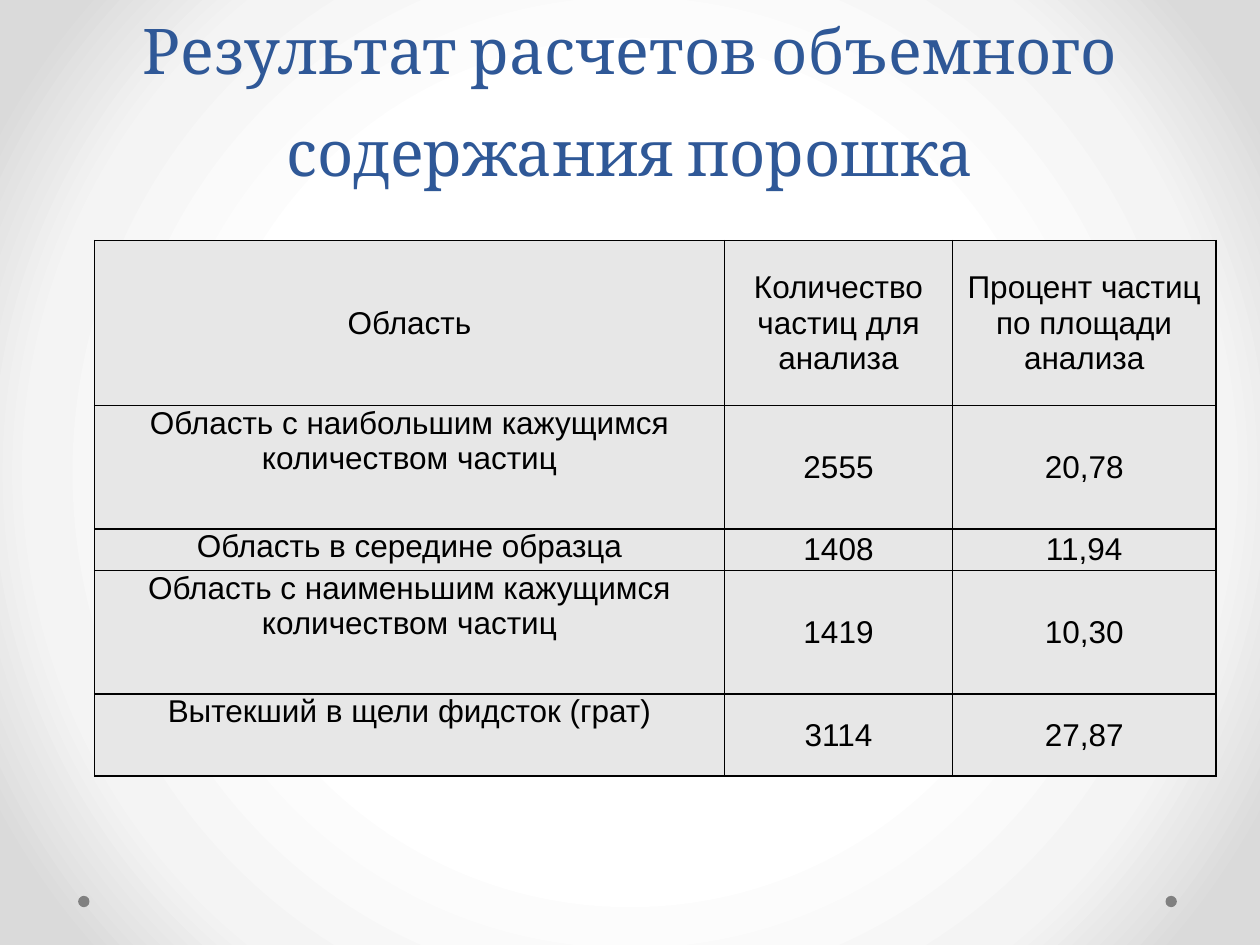
"""Build a slide with a table of powder volume content results."""
from lxml import etree
from pptx import Presentation
from pptx.dml.color import RGBColor
from pptx.enum.shapes import MSO_SHAPE
from pptx.enum.text import MSO_ANCHOR, PP_ALIGN
from pptx.oxml import parse_xml
from pptx.oxml.ns import nsdecls, qn
from pptx.util import Inches, Pt

CENTER = PP_ALIGN.CENTER
TOP, MIDDLE, BOTTOM = MSO_ANCHOR.TOP, MSO_ANCHOR.MIDDLE, MSO_ANCHOR.BOTTOM
OVAL = MSO_SHAPE.OVAL
COLORS = {"title": "2F5897", "text": "000000", "cell": "E7E7E7", "dot": "808080"}
STOPS = [(50, "FFFFFF"), (76, "F4F4F4"), (92, "DADADA")]
COLS = [5, 1.81, 2.09]
ROWS = [1.31, 0.98, 0.33, 0.98, 0.65]
DATA = [
    ("Область", "Количество частиц для анализа", "Процент частиц по площади анализа"),
    ("Область с наибольшим кажущимся количеством частиц", "2555", "20,78"),
    ("Область в середине образца", "1408", "11,94"),
    ("Область с наименьшим кажущимся количеством частиц", "1419", "10,30"),
    ("Вытекший в щели фидсток (грат)", "3114", "27,87"),
]


def write(frame, text, size=18, font="Arial", color="text", space=None):
    frame.text = text
    para = frame.paragraphs[0]
    para.alignment = CENTER
    if space:
        para.line_spacing = Pt(space)
    face = para.runs[0].font
    face.size = Pt(size)
    face.name = font
    face.bold = False
    face.color.rgb = RGBColor.from_string(COLORS[color])


prs = Presentation()
prs.slide_width, prs.slide_height = Inches(10), Inches(7.5)
slide = prs.slides.add_slide(prs.slide_layouts[5])

slide.background.fill.gradient()
grad = slide.element.find(".//" + qn("a:gradFill"))
for node in list(grad):
    grad.remove(node)
stops = etree.SubElement(grad, qn("a:gsLst"))
for place, shade in STOPS:
    stop = etree.SubElement(stops, qn("a:gs"), pos=str(place * 1000))
    etree.SubElement(stop, qn("a:srgbClr"), val=shade)
ring = etree.SubElement(grad, qn("a:path"), path="circle")
etree.SubElement(ring, qn("a:fillToRect"), l="50000", t="50000", r="50000", b="50000")

for left in (9.25, 0.62):
    dot = slide.shapes.add_shape(OVAL, Inches(left), Inches(7.11), Inches(0.09), Inches(0.09))
    dot.shadow.inherit = False
    dot.fill.solid()
    dot.fill.fore_color.rgb = RGBColor.from_string(COLORS["dot"])
    dot.line.fill.background()

title = slide.shapes.title
title.left, title.top = Inches(0), Inches(0)
title.width, title.height = Inches(10), Inches(1.55)
write(title.text_frame, "Результат расчетов объемного содержания порошка",
      size=36, font="Cambria", color="title", space=58)
title.text_frame.vertical_anchor = BOTTOM

table = slide.shapes.add_table(len(ROWS), len(COLS), Inches(0.75), Inches(1.91),
                               Inches(sum(COLS)), Inches(sum(ROWS))).table
table.first_row = table.horz_banding = False
for col, width in zip(table.columns, COLS):
    col.width = Inches(width)
for row, height in zip(table.rows, ROWS):
    row.height = Inches(height)

for r, line in enumerate(DATA):
    for c, text in enumerate(line):
        cell = table.cell(r, c)
        write(cell.text_frame, text)
        cell.vertical_anchor = TOP if r and not c else MIDDLE
        cell.margin_left = cell.margin_right = Inches(0.01)
        cell.margin_top = cell.margin_bottom = Inches(0)
        cell.fill.solid()
        cell.fill.fore_color.rgb = RGBColor.from_string(COLORS["cell"])
        props = cell._tc.get_or_add_tcPr()
        for i, side in enumerate("LRTB"):
            props.insert(i, parse_xml(
                f'<a:ln{side} {nsdecls("a")} w="12700"><a:solidFill>'
                f'<a:srgbClr val="{COLORS["text"]}"/></a:solidFill></a:ln{side}>'))

prs.save("out.pptx")
